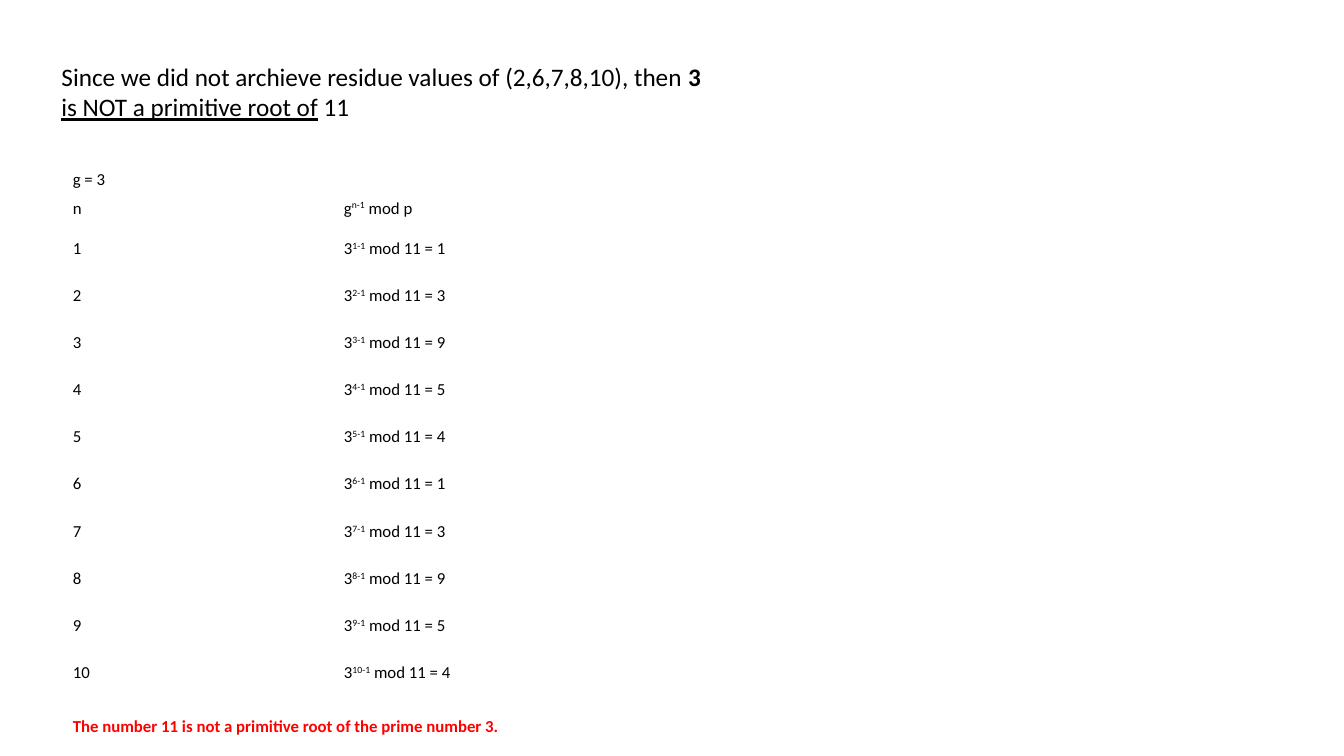
from pptx import Presentation
from pptx.dml.color import RGBColor
from pptx.enum import text
from pptx.util import Pt

BLACK, RED = "000000", "FF0000"
TITLE = [
    ("Since we did not archieve residue values of (2,6,7,8,10), then ", {}),
    ("3 ", {"bold": True}),
    ("is NOT a primitive root of", {"underline": True}),
    (" 11", {}),
]
GENERATOR = "g = 3"
HEADER = ("n", "g", "n-1", " mod p")
RESIDUES = [1, 3, 9, 5, 4, 1, 3, 9, 5, 4]
CONCLUSION = "The number 11 is not a primitive root of the prime number 3."

TITLE_BOX = (36.7, 40.3, 480, 50.9)
TABLE_LEFT, TABLE_TOP, COLUMN_WIDTH = 49, 119.5, 193.7
ROW_HEIGHTS = [13.7, 23.8] + [33.7] * len(RESIDUES) + [43.9]


def color(value):
    return RGBColor.from_string(value)


def add_span(para, words, size=12, fill=BLACK, bold=False, underline=False, raised=False):
    span = para.add_run()
    span.text = words
    font = span.font
    font.name, font.size = "Calibri", Pt(size)
    font.bold, font.underline = bold, underline
    font.color.rgb = color(fill)
    if raised:
        span._r.get_or_add_rPr().set("baseline", "30000")


def add_title(page):
    box = page.shapes.title
    box.left, box.top, box.width, box.height = map(Pt, TITLE_BOX)
    frame = box.text_frame
    frame.word_wrap = True
    frame.auto_size = text.MSO_AUTO_SIZE.SHAPE_TO_FIT_TEXT
    frame.vertical_anchor = text.MSO_ANCHOR.TOP
    para = frame.paragraphs[0]
    para.alignment = text.PP_ALIGN.LEFT
    for words, style in TITLE:
        add_span(para, words, size=18, **style)


def add_residue_table(page):
    rows = [HEADER] + [
        (str(n), "3", f"{n}-1", f" mod 11 = {residue}")
        for n, residue in enumerate(RESIDUES, 1)
    ]
    table = page.shapes.add_table(
        len(ROW_HEIGHTS), 2, Pt(TABLE_LEFT), Pt(TABLE_TOP),
        Pt(2 * COLUMN_WIDTH), Pt(sum(ROW_HEIGHTS))).table
    table.first_row = table.horz_banding = False
    for column in table.columns:
        column.width = Pt(COLUMN_WIDTH)
    for row, height in zip(table.rows, ROW_HEIGHTS):
        row.height = Pt(height)
    for cell in table.iter_cells():
        cell.fill.background()
        cell.vertical_anchor = text.MSO_ANCHOR.MIDDLE
        cell.margin_left = cell.margin_right = Pt(3)
        cell.margin_top = cell.margin_bottom = Pt(1.5)
        cell.text_frame.paragraphs[0].font.size = Pt(12)

    last = len(ROW_HEIGHTS) - 1
    for index, words, style in [
        (0, GENERATOR, {}),
        (last, CONCLUSION, {"fill": RED, "bold": True}),
    ]:
        table.cell(index, 0).merge(table.cell(index, 1))
        add_span(table.cell(index, 0).text_frame.paragraphs[0], words, **style)

    for index, (n, base, exponent, rest) in enumerate(rows, 1):
        add_span(table.cell(index, 0).text_frame.paragraphs[0], n)
        para = table.cell(index, 1).text_frame.paragraphs[0]
        add_span(para, base)
        add_span(para, exponent, raised=True)
        add_span(para, rest)


def main():
    deck = Presentation()
    deck.slide_width, deck.slide_height = Pt(960), Pt(540)
    page = deck.slides.add_slide(deck.slide_layouts[5])
    add_residue_table(page)
    add_title(page)
    deck.save("out.pptx")


if __name__ == "__main__":
    main()
